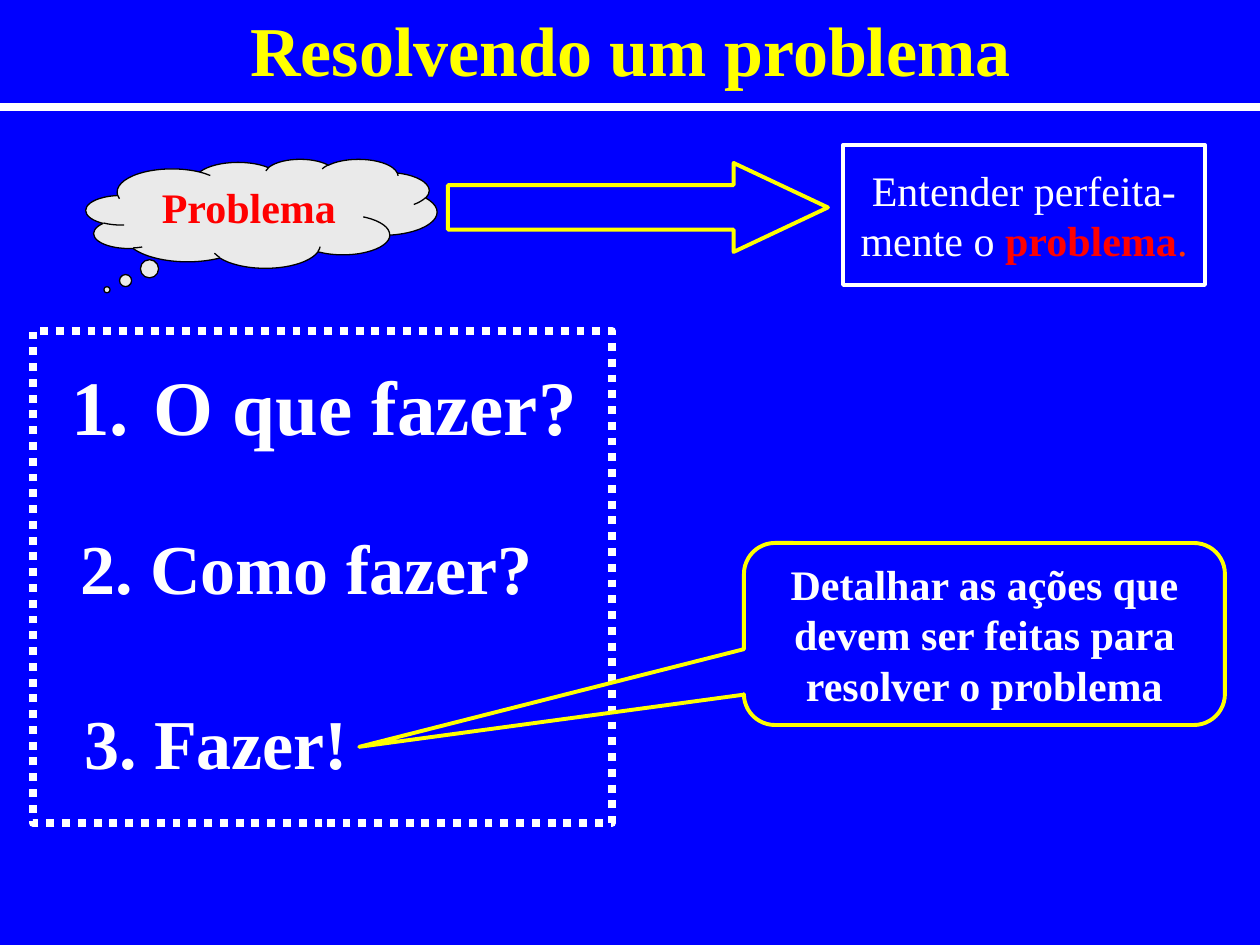
from dataclasses import dataclass

from lxml import etree
from pptx import Presentation
from pptx import util as u
from pptx.dml.color import RGBColor
from pptx.enum import dml, shapes, text
from pptx.oxml import ns

SCALE = 914400 / 126


@dataclass(frozen=True)
class Theme:
    font: str = "Times New Roman"
    blue: str = "0000FF"
    white: str = "FFFFFF"
    yellow: str = "FFFF00"
    red: str = "FF0000"
    orange: str = "FF3300"
    grey: str = "EAEAEA"
    black: str = "000000"
    body: int = 24
    heading: int = 40
    first_step: int = 44
    hairline: float = 0.75
    outline: float = 2.25
    heavy: float = 4.5


THEME = Theme()
CENTER = text.PP_ALIGN.CENTER
TOP, MIDDLE = text.MSO_ANCHOR.TOP, text.MSO_ANCHOR.MIDDLE


def px(*lengths):
    return [u.Emu(round(length * SCALE)) for length in lengths]


def style_line(line, color, width):
    line.color.rgb = RGBColor.from_string(color)
    line.width = u.Pt(width)


def add_figure(slide, preset, box, line, width, adjustments=(), fill=None):
    figure = slide.shapes.add_shape(preset, *px(*box))
    figure.shadow.inherit = False
    for index, value in enumerate(adjustments):
        figure.adjustments[index] = value
    if fill:
        figure.fill.solid()
        figure.fill.fore_color.rgb = RGBColor.from_string(fill)
    else:
        figure.fill.background()
    style_line(figure.line, line, width)
    return figure


def write(frame, paragraphs, size, align=None, anchor=TOP, wrap=True):
    """Fill a text frame; each paragraph is a list of (words, color, bold) runs."""
    frame.word_wrap = wrap
    frame.vertical_anchor = anchor
    for index, runs in enumerate(paragraphs):
        paragraph = frame.add_paragraph() if index else frame.paragraphs[0]
        paragraph.alignment = align
        for words, color, bold in runs:
            run = paragraph.add_run()
            run.text = words
            run.font.name = THEME.font
            run.font.size = u.Pt(size)
            run.font.bold = bold
            run.font.color.rgb = RGBColor.from_string(color)


def add_label(slide, box, words, color, size, **layout):
    label = slide.shapes.add_textbox(*px(*box))
    write(label.text_frame, [[(words, color, True)]], size, **layout)
    return label


def number_paragraph(paragraph, indent):
    """Turn on automatic numbering with a hanging indent."""
    properties = paragraph._p.get_or_add_pPr()
    (hang,) = px(indent)
    properties.set("marL", str(hang))
    properties.set("indent", str(-hang))
    etree.SubElement(properties, ns.qn("a:buFont"), typeface=THEME.font)
    etree.SubElement(properties, ns.qn("a:buAutoNum"), type="arabicPeriod")


def add_rule(slide, y, length):
    rule = slide.shapes.add_connector(
        shapes.MSO_CONNECTOR.STRAIGHT, *px(0, y, length, y))
    style_line(rule.line, THEME.white, THEME.heavy)
    etree.SubElement(rule._element.spPr, ns.qn("a:effectLst"))


def add_steps(slide):
    first = add_label(slide, (59, 352, 537, 106), "O que fazer?",
                      THEME.white, THEME.first_step)
    number_paragraph(first.text_frame.paragraphs[0], 82)
    for box, words in (((68, 518, 494, 97), "2. Como fazer?"),
                       ((72, 693, 338, 97), "3. Fazer!")):
        add_label(slide, box, words, THEME.white, THEME.heading)


def main():
    presentation = Presentation()
    presentation.slide_width, presentation.slide_height = px(1260, 945)
    slide = presentation.slides.add_slide(presentation.slide_layouts[6])
    background = slide.background.fill
    background.solid()
    background.fore_color.rgb = RGBColor.from_string(THEME.blue)
    preset = shapes.MSO_SHAPE

    steps_frame = add_figure(slide, preset.RECTANGLE, (33, 331, 579, 492),
                             THEME.white, THEME.heavy)
    steps_frame.line.dash_style = dml.MSO_LINE.ROUND_DOT

    detail = add_figure(slide, preset.ROUNDED_RECTANGULAR_CALLOUT,
                        (744, 543, 481, 182), THEME.yellow, THEME.outline,
                        (-1.3, 0.62, 0.17))
    write(detail.text_frame,
          [[("Detalhar as ações que devem ser feitas para resolver o problema",
             THEME.white, True)]], THEME.body, CENTER)

    add_label(slide, (95, -1, 1071, 99), "Resolvendo um problema",
              THEME.yellow, THEME.heading, align=CENTER, anchor=MIDDLE)
    add_rule(slide, 107, 1260)

    problem = add_figure(slide, preset.CLOUD_CALLOUT, (86, 159, 351, 109),
                         THEME.black, THEME.hairline, (-0.44, 0.7), THEME.grey)
    write(problem.text_frame, [[("Problema", THEME.red, True)]],
          THEME.body, CENTER)

    add_steps(slide)

    add_figure(slide, preset.RIGHT_ARROW, (448, 163, 380, 89),
               THEME.yellow, THEME.outline, (0.5, 1.06))
    goal = add_figure(slide, preset.RECTANGLE, (843, 145, 362, 140),
                      THEME.white, THEME.outline)
    write(goal.text_frame,
          [[("Entender perfeita-", THEME.white, False)],
           [("mente o ", THEME.white, False), ("problema", THEME.red, True),
            (".", THEME.orange, False)]],
          THEME.body, CENTER, MIDDLE, wrap=False)

    presentation.save("out.pptx")


if __name__ == "__main__":
    main()
